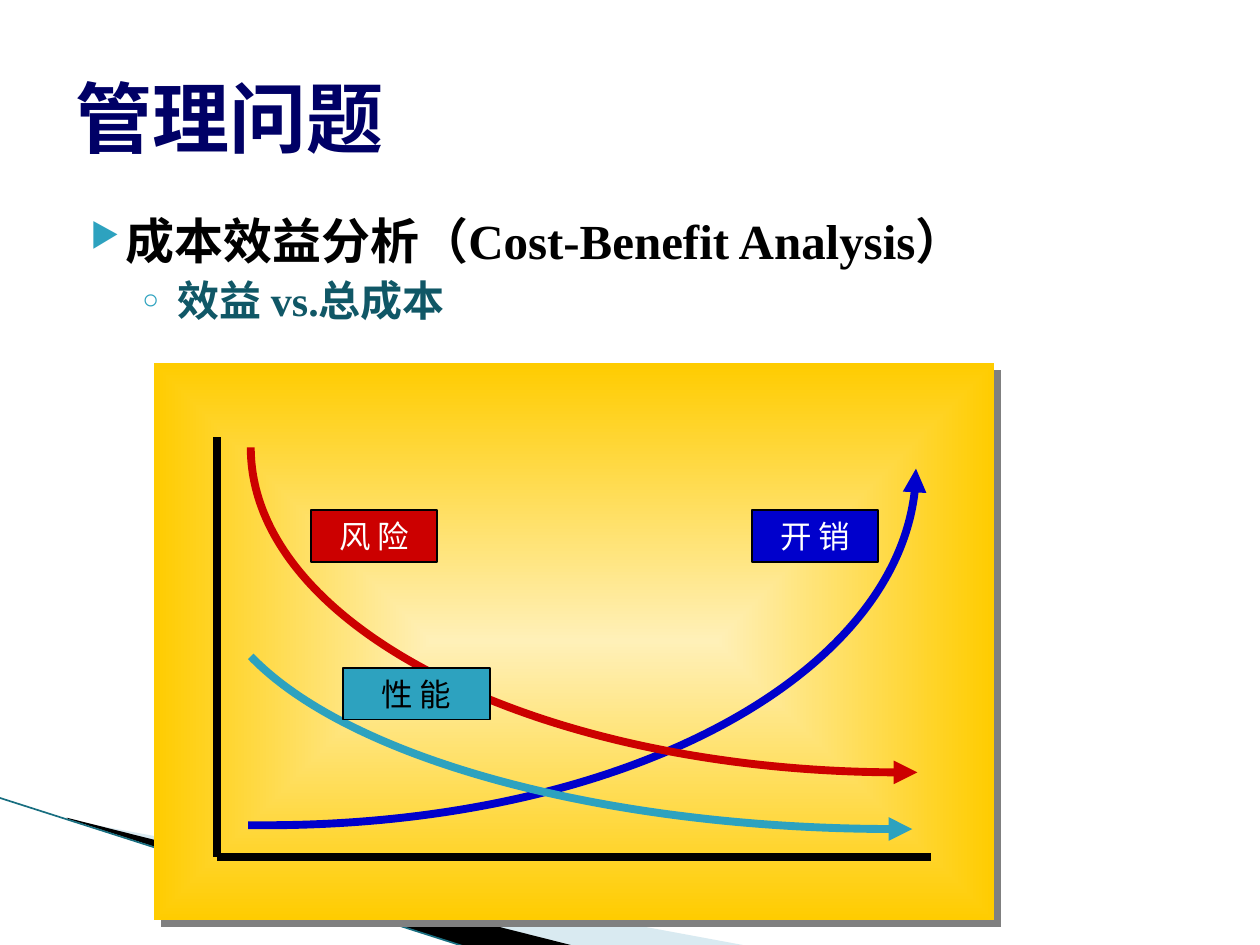
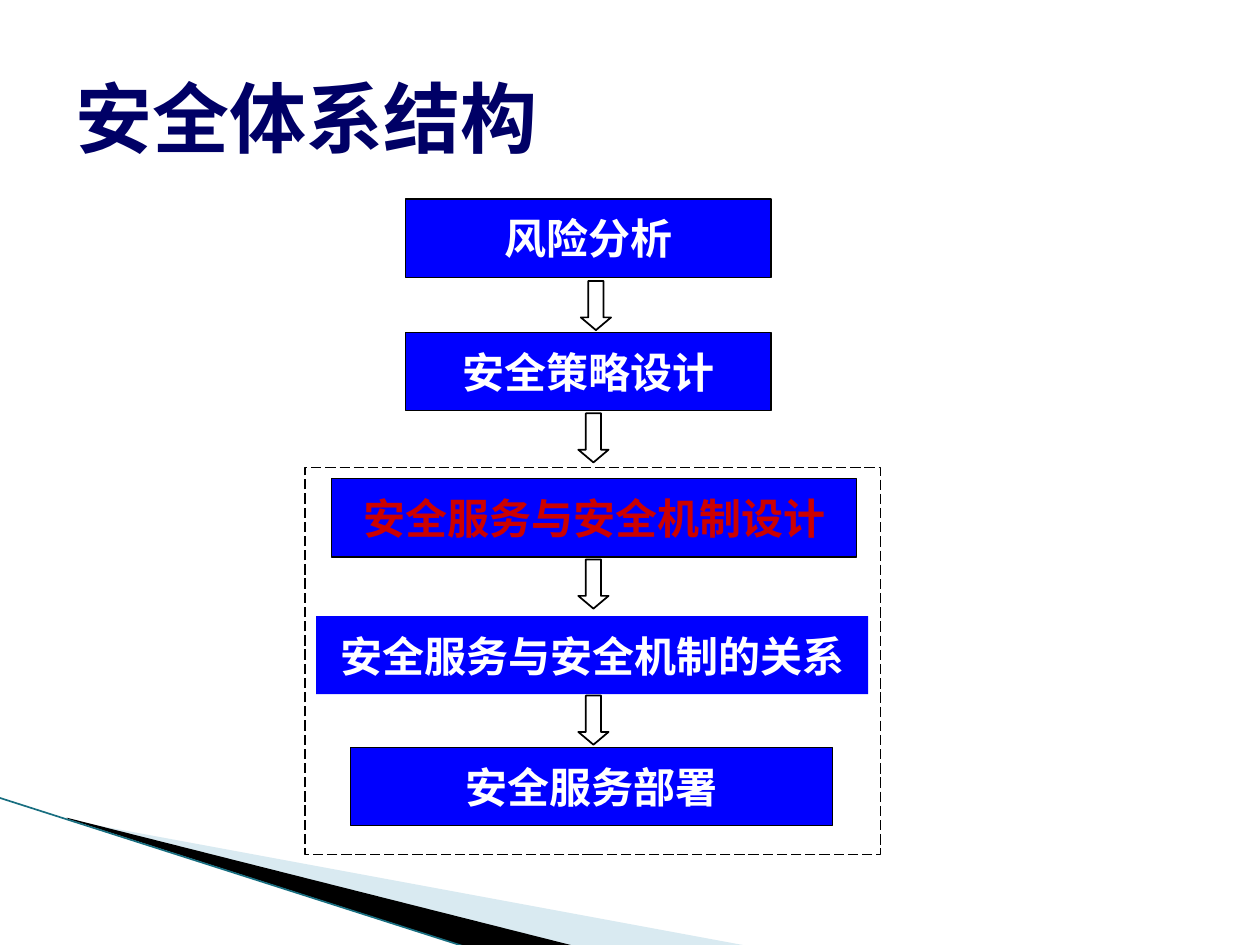
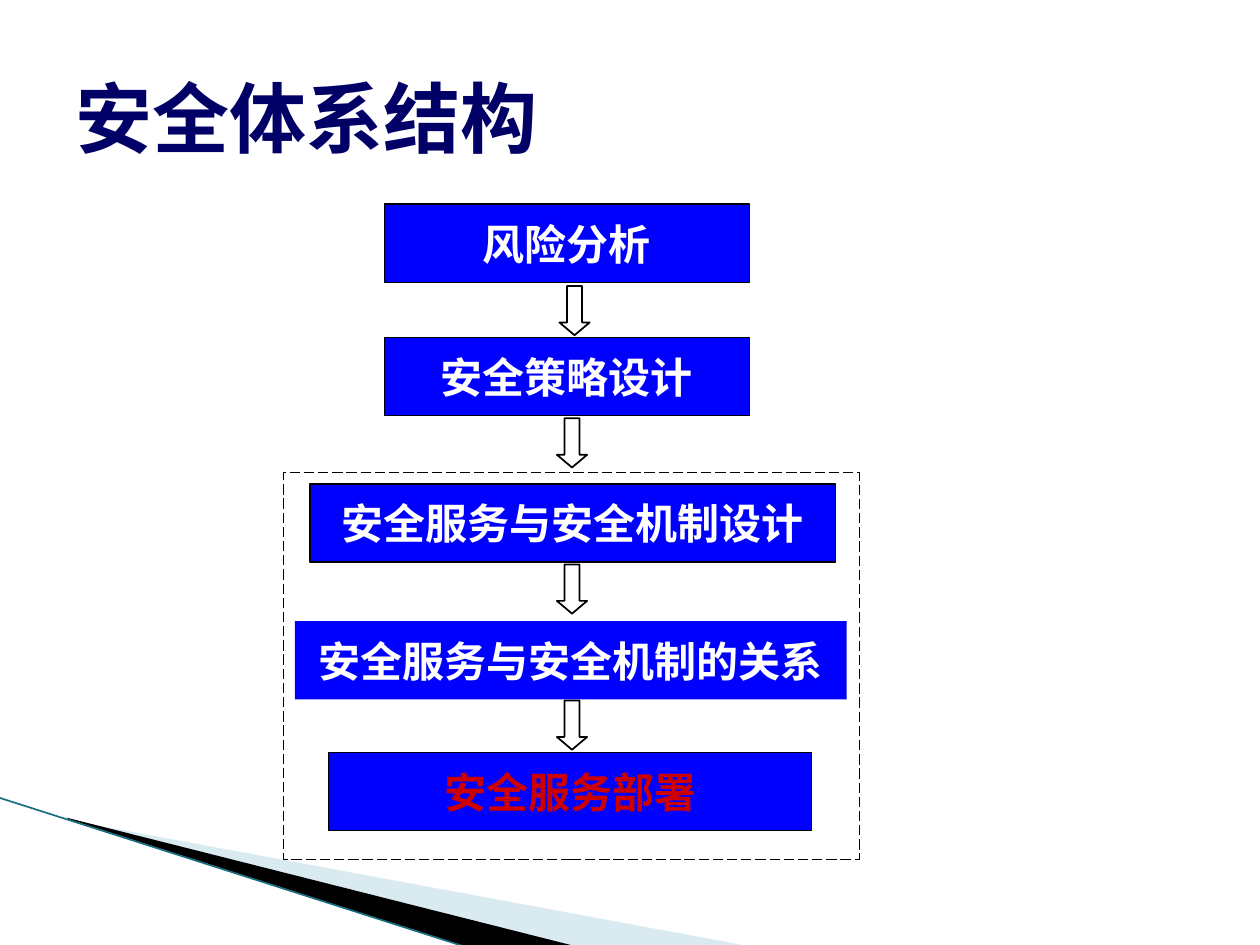
from lxml import etree
from pptx import Presentation
from pptx.dml.color import RGBColor
from pptx.enum.dml import MSO_LINE
from pptx.enum.shapes import MSO_CONNECTOR, MSO_SHAPE
from pptx.enum.text import MSO_ANCHOR, PP_ALIGN
from pptx.oxml.ns import qn
from pptx.util import Inches, Pt

COLORS = {
    "title": "000066", "text": "000000", "subtext": "105766", "bullet": "2DA2BF",
    "white": "FFFFFF", "black": "000000", "box": "0000FF", "highlight": "CC0000",
    "risk": "CC0000", "cost": "0000CC", "performance": "2DA2BF",
    "panel_center": "FFF0B8", "panel_edge": "FFCC00", "panel_shadow": "808080",
    "wedge_light": "A0CBDC", "wedge_line": "186E80",
}

# colour, frame, corner points
WEDGES = [
    ("wedge_light", (0.78, 5.47, 4.16, 1.58),
     [(0.55, 6.51), (5.95, 7.51), (4.56, 7.51), (0.55, 6.5)]),
    ("black", (-0.06, 6.33, 4.16, 0.92),
     [(0.53, 6.49), (4.57, 7.51), (3.72, 7.52), (0.54, 6.5)]),
]

# text, bullet, bullet font, bullet size %, left margin, indent, space before, font format
BULLETS = [
    ("成本效益分析（Cost-Benefit Analysis）", "▶", "OpenSymbol", 68, 0.4, -0.28, 0,
     {"size": Pt(28), "color": "text"}),
    ("效益 vs.总成本", "◦", "Verdana", 100, 0.81, -0.31, 3.2,
     {"size": Pt(24), "color": "subtext"}),
]

AXES = [((1.72, 3.47), (1.72, 6.8)), ((1.72, 6.8), (7.39, 6.8))]

# colour, start point followed by Bezier triples, label, label box, label colour
CURVES = [
    ("cost",
     [(1.97, 6.55), (2.01, 6.55), (2.06, 6.55), (2.1, 6.55),
      (4.96, 6.55), (7.27, 5.28), (7.27, 3.72)],
     "开 销", (5.97, 4.05, 1, 0.41), "white"),
    ("risk",
     [(1.99, 3.55), (1.99, 4.98), (4.3, 6.13), (7.15, 6.13),
      (7.2, 6.13), (7.24, 6.13), (7.28, 6.13)],
     "风 险", (2.47, 4.05, 1, 0.41), "white"),
    ("performance",
     [(1.99, 5.21), (2.78, 6.03), (4.82, 6.58), (7.1, 6.58),
      (7.15, 6.58), (7.2, 6.58), (7.24, 6.58)],
     "性 能", (2.72, 5.3, 1.17, 0.41), "black"),
]

# text, left, top, width, outlined
STEPS = [
    ("风险分析", 3.22, 1.58, 2.9, True),
    ("安全策略设计", 3.22, 2.64, 2.9, True),
    ("安全服务与安全机制设计", 2.63, 3.8, 4.17, True),
    ("安全服务与安全机制的关系", 2.51, 4.89, 4.38, False),
    ("安全服务部署", 2.78, 5.93, 3.83, True),
]
STEP_HEIGHT = 0.62
ARROWS = [(4.61, 2.23), (4.59, 3.28), (4.59, 4.44), (4.59, 5.52)]
STEP_FRAME = (2.42, 3.71, 4.57, 3.07)

# title font, highlighted step, shift right, shift down
FLOWS = [("Noto Sans Mono", 2, 0, 0), ("Times New Roman", 4, -0.17, 0.04)]


def rgb(name):
    return RGBColor.from_string(COLORS[name])


def sub(parent, tag, **attrs):
    return etree.SubElement(parent, qn(tag), {k: str(v) for k, v in attrs.items()})


def style(sp, fill=None, line=None, width=0.75):
    if fill:
        sp.fill.solid()
        sp.fill.fore_color.rgb = rgb(fill)
    else:
        sp.fill.background()
    if line:
        sp.line.color.rgb = rgb(line)
        sp.line.width = Pt(width)
    else:
        sp.line.fill.background()
    sp.shadow.inherit = False
    return sp


def add_run(p, text, color, **fmt):
    r = p.add_run()
    r.text = text
    r.font.color.rgb = rgb(color)
    for key, value in fmt.items():
        setattr(r.font, key, value)


def add_box(s, kind, box, fill=None, line=None, width=0.75):
    return style(s.shapes.add_shape(kind, *map(Inches, box)), fill, line, width)


def add_label(s, box, text, fill, line, width, color, **fmt):
    sp = add_box(s, MSO_SHAPE.RECTANGLE, box, fill, line, width)
    tf = sp.text_frame
    tf.word_wrap = False
    tf.vertical_anchor = MSO_ANCHOR.MIDDLE
    tf.margin_top = tf.margin_bottom = 0
    p = tf.paragraphs[0]
    p.alignment = PP_ALIGN.CENTER
    add_run(p, text, color, **fmt)


def add_line(s, start, end, color, width):
    cn = s.shapes.add_connector(MSO_CONNECTOR.STRAIGHT, *map(Inches, start + end))
    cn.line.color.rgb = rgb(color)
    cn.line.width = Pt(width)
    sub(cn._element.spPr, "a:effectLst")


def add_outline(s, points, close):
    pts = [(Inches(x), Inches(y)) for x, y in points]
    fb = s.shapes.build_freeform(*pts[0])
    fb.add_line_segments(pts[1:], close=close)
    sp = fb.convert_to_shape()
    return sp, next(sp._element.iter(qn("a:path")))


def add_wedge(s, color, frame, points):
    """Add an outline whose corners reach beyond its frame."""
    sp, outline = add_outline(s, points, True)
    left, top, width, height = map(Inches, frame)
    for pt in outline.iter(qn("a:pt")):
        pt.set("x", str(int(pt.get("x")) + sp.left - left))
        pt.set("y", str(int(pt.get("y")) + sp.top - top))
    outline.set("w", str(width))
    outline.set("h", str(height))
    sp.left, sp.top, sp.width, sp.height = left, top, width, height
    return style(sp, color)


def add_curve(s, color, points):
    """Add an arrow along Bezier pieces, each three points after the start."""
    sp, outline = add_outline(s, points, False)
    segments = list(outline)[1:]
    for i in range(0, len(segments), 3):
        bezier = sub(outline, "a:cubicBezTo")
        for segment in segments[i:i + 3]:
            bezier.append(segment[0])
            outline.remove(segment)
    style(sp, None, color, 4.5)
    sub(sp.line._get_or_add_ln(), "a:tailEnd", type="triangle")


def new_slide(prs, title, font):
    """Add a slide with the corner wedges and its title."""
    s = prs.slides.add_slide(prs.slide_layouts[6])
    light, _ = [add_wedge(s, *wedge) for wedge in WEDGES]
    sub(light._element.spPr.find(qn("a:solidFill"))[0], "a:alpha", val=40000)
    add_line(s, (-0.01, 6.33), (3.71, 7.52), "wedge_line", 0.95)
    tf = s.shapes.add_textbox(*map(Inches, (0.5, 0.3, 9, 1.25))).text_frame
    tf.word_wrap = True
    tf.vertical_anchor = MSO_ANCHOR.MIDDLE
    add_run(tf.paragraphs[0], title, "title", size=Pt(44), bold=True, name=font)
    return s


def add_bullets(s):
    tf = s.shapes.add_textbox(*map(Inches, (0.5, 1.62, 9, 4.95))).text_frame
    tf.word_wrap = True
    for i, (text, char, font, percent, left, indent, before, fmt) in enumerate(BULLETS):
        p = tf.add_paragraph() if i else tf.paragraphs[0]
        pPr = p._p.get_or_add_pPr()
        pPr.set("marL", str(Inches(left)))
        pPr.set("indent", str(Inches(indent)))
        sub(sub(pPr, "a:buClr"), "a:srgbClr", val=COLORS["bullet"])
        sub(pPr, "a:buSzPct", val=percent * 1000)
        sub(pPr, "a:buFont", typeface=font)
        sub(pPr, "a:buChar", char=char)
        if before:
            p.space_before = Pt(before)
        add_run(p, text, bold=True, name="Times New Roman", **fmt)


def add_panel(s):
    """Add the glowing chart background with its hard shadow."""
    sp = add_box(s, MSO_SHAPE.RECTANGLE, (1.22, 2.88, 6.67, 4.42))
    sp.fill.gradient()
    for stop, color in zip(sp.fill.gradient_stops, ("panel_center", "panel_edge")):
        stop.color.rgb = rgb(color)
    spPr = sp._element.spPr
    grad = spPr.find(qn("a:gradFill"))
    grad.remove(grad.find(qn("a:lin")))
    sub(sub(grad, "a:path", path="shape"), "a:fillToRect", l=50000, t=50000, r=50000, b=50000)
    shadow = sub(spPr.find(qn("a:effectLst")), "a:outerShdw",
                 blurRad=0, dist=Pt(5.7), dir=45 * 60000, algn="tl", rotWithShape=0)
    sub(shadow, "a:srgbClr", val=COLORS["panel_shadow"])


def build_cost_benefit(prs):
    s = new_slide(prs, "管理问题", "Noto Sans Mono")
    add_bullets(s)
    add_panel(s)
    for start, end in AXES:
        add_line(s, start, end, "black", 4.5)
    for color, points, text, box, text_color in CURVES:
        add_curve(s, color, points)
        add_label(s, box, text, color, "black", 1, text_color, size=Pt(18), name="Arial")


def build_flow(prs, font, highlighted, dx, dy):
    s = new_slide(prs, "安全体系结构", font)
    x, y, w, h = STEP_FRAME
    frame = add_box(s, MSO_SHAPE.RECTANGLE, (x + dx, y + dy, w, h), "white", "black")
    frame.line.dash_style = MSO_LINE.LONG_DASH
    for i, (text, left, top, width, outlined) in enumerate(STEPS):
        add_label(s, (left + dx, top + dy, width, STEP_HEIGHT), text, "box",
                  "black" if outlined else None, 0.75,
                  "highlight" if i == highlighted else "white",
                  size=Pt(24), bold=True, name="Cabin")
    for left, top in ARROWS:
        arrow = add_box(s, MSO_SHAPE.DOWN_ARROW, (left + dx, top + dy, 0.24, 0.39),
                        None, "black", 1)
        arrow.adjustments[0], arrow.adjustments[1] = 0.5, 0.42


def main():
    prs = Presentation()
    prs.slide_width, prs.slide_height = Inches(10), Inches(7.5)
    build_cost_benefit(prs)
    for flow in FLOWS:
        build_flow(prs, *flow)
    prs.save("out.pptx")


if __name__ == "__main__":
    main()
